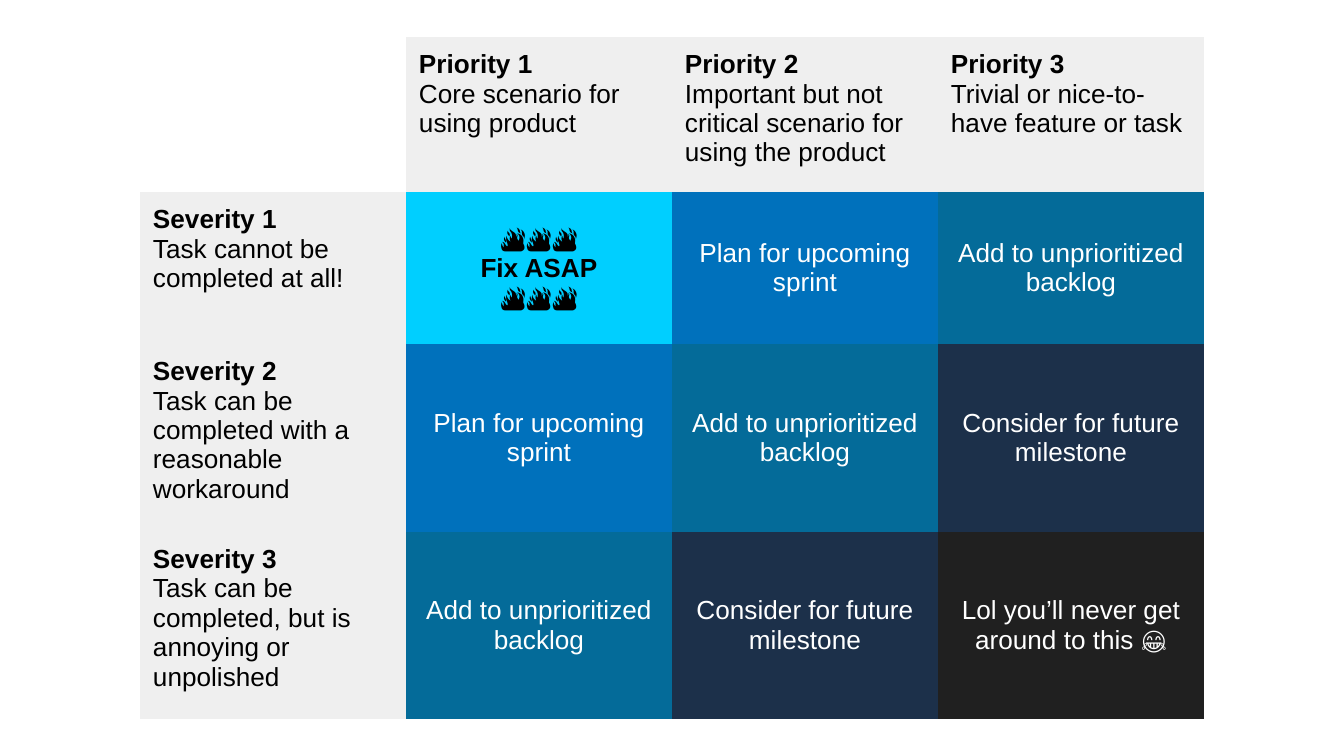
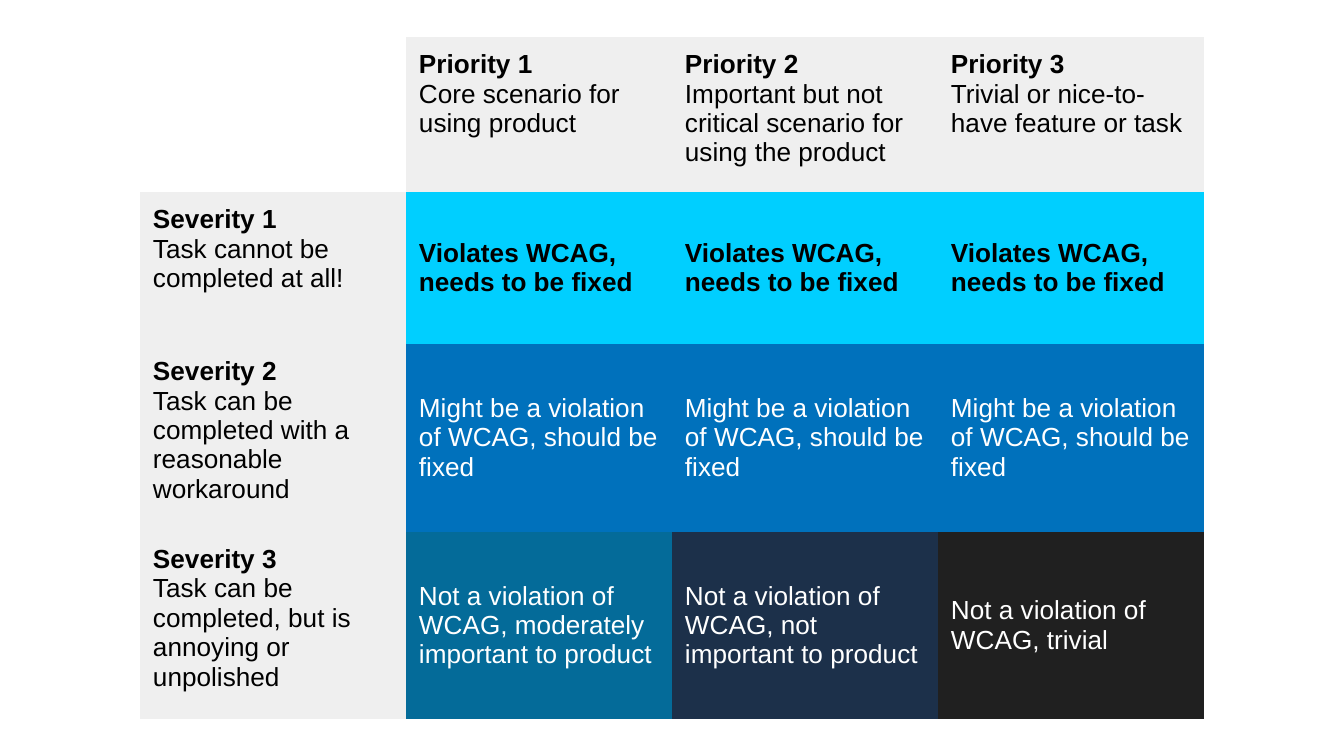
from dataclasses import dataclass

from pptx import Presentation
from pptx import util as u
from pptx.dml.color import RGBColor
from pptx.enum import text as t

PX = 914400 / 134.4


@dataclass(frozen=True)
class Theme:
    font: str = "Arial"
    size: int = 14
    dark: str = "000000"
    light: str = "FFFFFF"
    head: str = "EFEFEF"
    urgent: str = "00CFFF"
    soon: str = "0071BC"
    later: str = "046B99"
    maybe: str = "1C304A"
    never: str = "202020"


THEME = Theme()
SIZE = (1344, 756)
GRID = (140, 37)
COL = 266
ROWS = (155, 152, 188, 187)
INSET = 13
LEVELS = (THEME.urgent, THEME.soon, THEME.later, THEME.maybe, THEME.never)

# A cell's text is a list of paragraphs, each a list of lines: (words, bold).
PRIORITIES = [
    [[("Priority 1", True)], [("Core scenario for using product", False)]],
    [[("Priority 2", True)],
     [("Important but not critical scenario for using the product", False)]],
    [[("Priority 3", True)], [("Trivial or nice-to-have feature or task", False)]],
]
SEVERITIES = [
    [[("Severity 1", True), ("Task cannot be completed at all!", False)]],
    [[("Severity 2", True)],
     [("Task can be completed with a reasonable workaround", False)]],
    [[("Severity 3", True)],
     [("Task can be completed, but is annoying or unpolished", False)]],
]


def px(n):
    return u.Emu(round(n * PX))


def plain(words, bold=False):
    return [[(words, bold)]]


def fill_cell(cell, fill, paras, align=t.PP_ALIGN.LEFT, anchor=t.MSO_ANCHOR.TOP):
    cell.fill.solid()
    cell.fill.fore_color.rgb = RGBColor.from_string(fill)
    cell.margin_left = cell.margin_right = px(INSET)
    cell.margin_top = cell.margin_bottom = px(INSET)
    cell.vertical_anchor = anchor
    ink = THEME.dark if fill in (THEME.head, THEME.urgent) else THEME.light
    frame = cell.text_frame
    for i, lines in enumerate(paras):
        para = frame.add_paragraph() if i else frame.paragraphs[0]
        para.alignment = align
        for j, (words, bold) in enumerate(lines):
            if j:
                para.add_line_break()
            run = para.add_run()
            run.text = words
            font = run.font
            font.name, font.size, font.bold = THEME.font, u.Pt(THEME.size), bold
            font.color.rgb = RGBColor.from_string(ink)


def add_grid(slide, left, top):
    """Add the borderless table with its row and column heads."""
    count = len(PRIORITIES) + 1
    frame = slide.shapes.add_table(len(ROWS), count, px(left), px(top),
                                   px(COL * count), px(sum(ROWS)))
    for style in frame.element.iter("{*}tableStyleId"):
        style.text = "{2D5ABB26-0587-4C30-8999-92F81FD0307C}"
    table = frame.table
    table.first_row = table.horz_banding = False
    for col in table.columns:
        col.width = px(COL)
    for row, high in zip(table.rows, ROWS):
        row.height = px(high)
    table.cell(0, 0).fill.background()
    for i, paras in enumerate(PRIORITIES, 1):
        fill_cell(table.cell(0, i), THEME.head, paras)
    for i, paras in enumerate(SEVERITIES, 1):
        fill_cell(table.cell(i, 0), THEME.head, paras)
    return table


def add_matrix(deck, body, align):
    """Add a slide whose body rows hold (level, paragraphs) pairs."""
    slide = deck.slides.add_slide(deck.slide_layouts[6])
    table = add_grid(slide, *GRID)
    for r, row in enumerate(body, 1):
        for c, (level, paras) in enumerate(row, 1):
            fill_cell(table.cell(r, c), LEVELS[level], paras, align,
                      t.MSO_ANCHOR.MIDDLE)


def add_triage(deck):
    fire = "🔥🔥🔥"
    steps = [
        [[(fire, True)], [("Fix ASAP", True), (fire, True)]],
        plain("Plan for upcoming sprint"),
        plain("Add to unprioritized backlog"),
        plain("Consider for future milestone"),
        plain("Lol you’ll never get around to this 😂"),
    ]
    body = [[(r + c, steps[r + c]) for c in range(3)] for r in range(3)]
    add_matrix(deck, body, t.PP_ALIGN.CENTER)


def add_access(deck):
    minor = ("moderately important to product", "not important to product", "trivial")
    body = [
        [(0, plain("Violates WCAG, needs to be fixed", True))] * 3,
        [(1, plain("Might be a violation of WCAG, should be fixed"))] * 3,
        [(i, plain(f"Not a violation of WCAG, {why}"))
         for i, why in enumerate(minor, 2)],
    ]
    add_matrix(deck, body, t.PP_ALIGN.LEFT)


def main():
    deck = Presentation()
    deck.slide_width, deck.slide_height = map(px, SIZE)
    add_triage(deck)
    add_access(deck)
    deck.save("out.pptx")


if __name__ == "__main__":
    main()
